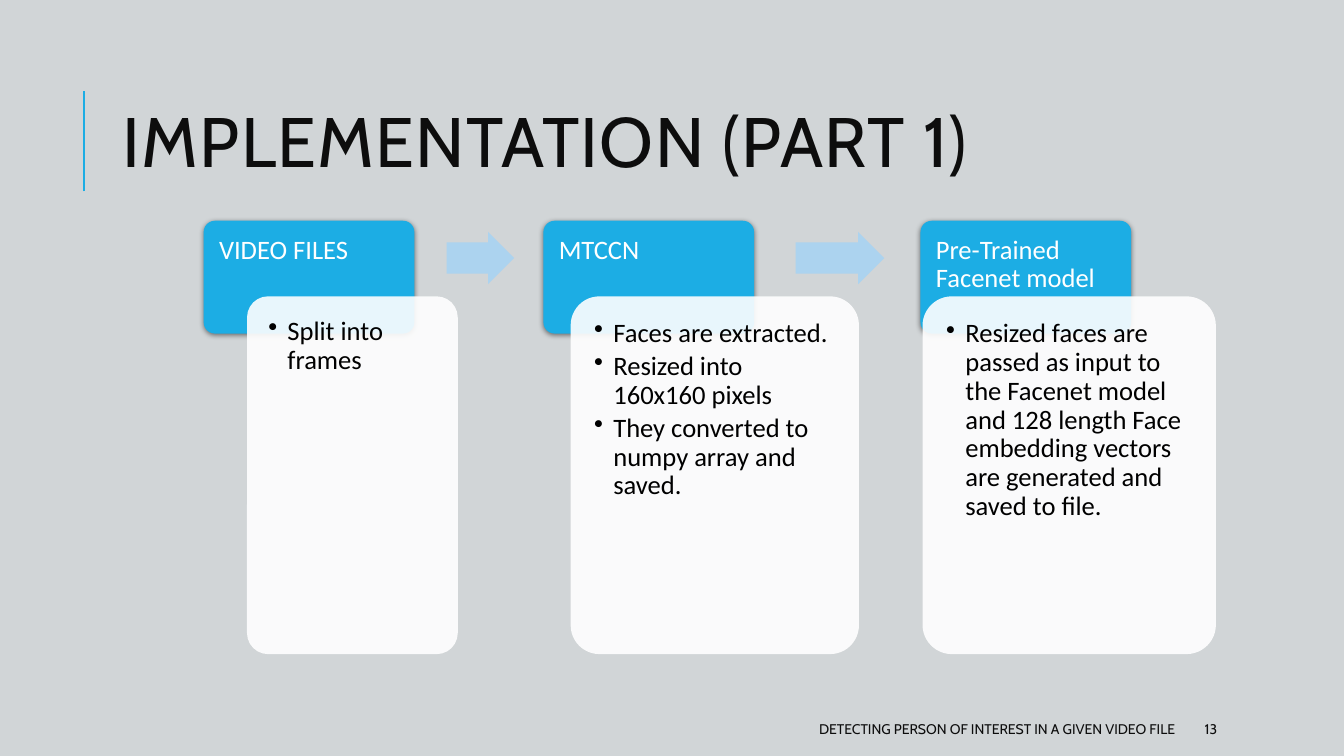
from dataclasses import dataclass

from lxml.etree import SubElement
from pptx import Presentation
from pptx.dml.color import RGBColor
from pptx.enum.shapes import MSO_CONNECTOR, MSO_SHAPE
from pptx.enum.text import MSO_ANCHOR, PP_ALIGN
from pptx.oxml.ns import qn
from pptx.util import Inches, Pt


@dataclass(frozen=True)
class Theme:
    """Colours, fonts and type sizes of the slide."""
    back: str = "D1D5D7"
    blue: str = "1CADE4"
    pale: str = "ACD3EF"
    white: str = "FFFFFF"
    black: str = "000000"
    ink: str = "0D0D0D"
    head: str = "Cabin"
    body: str = "Calibri"
    big: int = 50
    mid: int = 19
    small: int = 10


@dataclass(frozen=True)
class Step:
    """One stage: places in shares of the slide, relative to its left edge."""
    left: float
    shift: float
    width: float
    name: str
    points: tuple
    arrow: tuple = ()


T = Theme()
WIDE, HIGH = Inches(13.33), Inches(7.5)
TOP, TAB_W, TAB_H, DROP, CARD_H = 29.2, 15.68, 14.93, 10, 47.33
STEPS = (
    Step(15.15, 3.23, 15.68, "VIDEO FILES", ("Split into frames",), (18.08, 5.03)),
    Step(40.43, 2.03, 21.45, "MTCCN",
         ("Faces are extracted.", "Resized into 160x160 pixels",
          "They converted to numpy array and saved."), (18.76, 6.6)),
    Step(68.49, 0.15, 21.83, "Pre-Trained Facenet model",
         ("Resized faces are passed as input to the Facenet model and 128 length "
          "Face embedding vectors are generated and saved to file.",)),
)


def place(left, top, width, height):
    """Turn percent shares of the slide into lengths."""
    return (int(WIDE * left / 100), int(HIGH * top / 100),
            int(WIDE * width / 100), int(HIGH * height / 100))


def write(shape, *lines, font=T.body, size=T.mid, color=T.ink, align=PP_ALIGN.LEFT,
          anchor=MSO_ANCHOR.TOP, pad=None, lead=1.0, after=0, bullet=False, track=0):
    """Fill a shape with formatted paragraphs."""
    frame = shape.text_frame
    frame.word_wrap = True
    frame.vertical_anchor = anchor
    if pad:
        (frame.margin_left, frame.margin_top,
         frame.margin_right, frame.margin_bottom) = map(Inches, pad)
    for num, line in enumerate(lines):
        para = frame.add_paragraph() if num else frame.paragraphs[0]
        para.alignment, para.line_spacing = align, lead
        para.space_before, para.space_after = Pt(0), Pt(after)
        if bullet:
            props = para._p.get_or_add_pPr()
            props.set("marL", str(Inches(0.19)))
            props.set("indent", str(-Inches(0.19)))
            SubElement(props, qn("a:buChar"), char="•")
        run = para.add_run()
        run.text = line
        run.font.name, run.font.size = font, Pt(size)
        run.font.color.rgb = RGBColor.from_string(color)
        if track:
            run._r.get_or_add_rPr().set("spc", str(track * 100))


def draw(slide, kind, box, fill, adjust, alpha=None):
    """Add a flat preset shape in a box of shares."""
    shape = slide.shapes.add_shape(kind, *place(*box))
    for num, value in enumerate(adjust):
        shape.adjustments[num] = value
    shape.fill.solid()
    shape.fill.fore_color.rgb = RGBColor.from_string(fill)
    shape.line.fill.background()
    shape.shadow.inherit = False
    if alpha:
        tint = shape._element.spPr.find(".//" + qn("a:srgbClr"))
        SubElement(tint, qn("a:alpha"), val=str(alpha * 1000))
    return shape


def shade(shape):
    """Give a shape a soft shadow below it."""
    glow = SubElement(shape._element.spPr.find(qn("a:effectLst")), qn("a:outerShdw"),
                      blurRad=str(Pt(4)), dist=str(Pt(1)), dir="5400000", rotWithShape="0")
    tint = SubElement(glow, qn("a:srgbClr"), val=T.black)
    SubElement(tint, qn("a:alpha"), val="50000")


def stage(slide, step):
    """Draw the tab, card and arrow of one step."""
    tab = draw(slide, MSO_SHAPE.ROUNDED_RECTANGLE,
               (step.left, TOP, TAB_W, TAB_H), T.blue, (0.1,))
    shade(tab)
    write(tab, step.name, color=T.white, pad=(0.12, 0.12, 0.12, 0.08), lead=0.9)
    card = draw(slide, MSO_SHAPE.ROUNDED_RECTANGLE,
                (step.left + step.shift, TOP + DROP, step.width, CARD_H),
                T.white, (0.1,), alpha=90)
    write(card, *step.points, color=T.black, pad=(0.15,) * 4,
          lead=0.9, after=3, bullet=True)
    if step.arrow:
        gap, width = step.arrow
        draw(slide, MSO_SHAPE.RIGHT_ARROW,
             (step.left + gap, TOP + 1.47, width, 6.93), T.pale, (0.6, 0.5))


def header(slide, text):
    """Set the title beside its accent rule."""
    left, top, _, drop = place(6.23, 12, 0, 13.33)
    rule = slide.shapes.add_connector(MSO_CONNECTOR.STRAIGHT, left, top + drop, left, top)
    rule.line.color.rgb = RGBColor.from_string(T.blue)
    rule.line.width = Pt(1.5)
    SubElement(rule._element.spPr, qn("a:effectLst"))
    title = slide.shapes.title
    title.left, title.top, title.width, title.height = place(8.4, 8.53, 79.74, 21.87)
    write(title, text, font=T.head, size=T.big, anchor=MSO_ANCHOR.MIDDLE,
          lead=0.8, track=1)


def footer(slide, text, page):
    """Write the running text and page number."""
    for line, left, width, align in ((text, 39.76, 48.39, PP_ALIGN.RIGHT),
                                     (page, 88.9, 7.95, PP_ALIGN.LEFT)):
        box = slide.shapes.add_textbox(*place(left, 94.4, width, 4))
        write(box, line, font=T.head, size=T.small, align=align, anchor=MSO_ANCHOR.MIDDLE)


def main():
    """Build and save the slide."""
    deck = Presentation()
    deck.slide_width, deck.slide_height = WIDE, HIGH
    slide = deck.slides.add_slide(deck.slide_layouts[5])
    slide.background.fill.solid()
    slide.background.fill.fore_color.rgb = RGBColor.from_string(T.back)
    header(slide, "IMPLEMENTATION (PART 1)")
    footer(slide, "DETECTING PERSON OF INTEREST IN A GIVEN VIDEO FILE", "13")
    for step in STEPS:
        stage(slide, step)
    deck.save("out.pptx")


if __name__ == "__main__":
    main()
